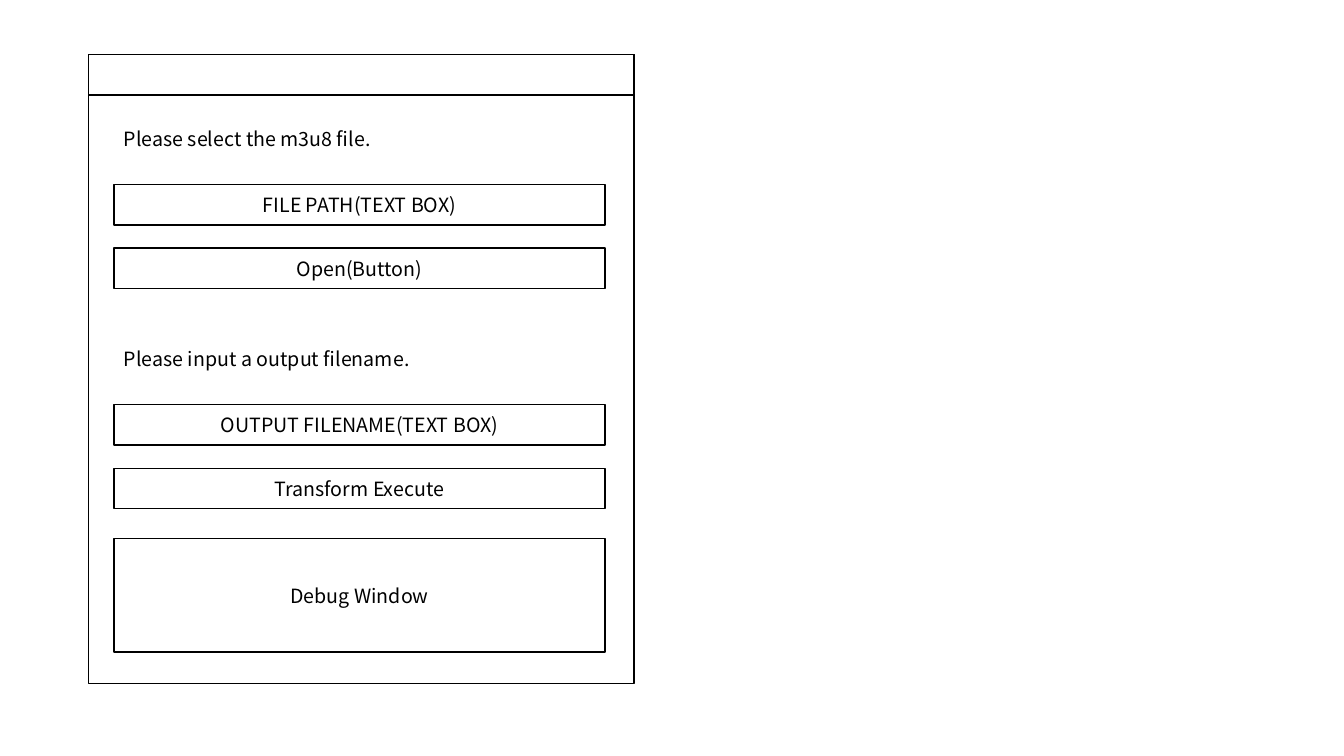
from dataclasses import dataclass

from pptx import Presentation
from pptx.dml.color import RGBColor
from pptx.enum.shapes import MSO_SHAPE
from pptx.enum.text import MSO_ANCHOR, PP_ALIGN
from pptx.util import Pt


@dataclass(frozen=True)
class Theme:
    ink: RGBColor = RGBColor(0, 0, 0)
    font: str = "Noto Sans CJK JP"
    body: float = 14
    stroke: float = 1


THEME = Theme()
ROW = 28.9           # height of the title bar, prompts, fields and buttons
FIELD_OFFSET = 47.5  # from the top of a prompt to its field
BUTTON_OFFSET = 93   # from the top of a prompt to its button


def write(part, text, align):
    frame = part.text_frame
    frame.word_wrap = True
    frame.vertical_anchor = MSO_ANCHOR.MIDDLE
    line = frame.paragraphs[0]
    line.text = text
    line.alignment = align
    line.font.name = THEME.font
    line.font.size = Pt(THEME.body)
    line.font.color.rgb = THEME.ink


def add_outline(shapes, left, top, width, height, text=""):
    outline = shapes.add_shape(MSO_SHAPE.RECTANGLE, Pt(left), Pt(top), Pt(width), Pt(height))
    outline.shadow.inherit = False
    outline.fill.background()
    outline.line.color.rgb = THEME.ink
    outline.line.width = Pt(THEME.stroke)
    if text:
        write(outline, text, PP_ALIGN.CENTER)


def add_window_frame(slide, left, top, width, height):
    """Window border with its title bar, grouped."""
    window = slide.shapes.add_group_shape()
    add_outline(window.shapes, left, top, width, height)
    add_outline(window.shapes, left, top, width, ROW)


def add_form_section(slide, left, top, width, prompt, field, button):
    """Prompt above a text field and a button."""
    prompt_box = slide.shapes.add_textbox(Pt(left), Pt(top), Pt(width), Pt(ROW))
    write(prompt_box, prompt, PP_ALIGN.LEFT)
    add_outline(slide.shapes, left, top + FIELD_OFFSET, width, ROW, field)
    add_outline(slide.shapes, left, top + BUTTON_OFFSET, width, ROW, button)


def add_app_window(slide, left, top, width, height):
    add_window_frame(slide, left, top, width, height)
    form_left, form_width = left + 18, 350.8

    # File selection and output sections
    sections = [
        ("Please select the m3u8 file.", "FILE PATH(TEXT BOX)", "Open(Button)"),
        ("Please input a output filename.", "OUTPUT FILENAME(TEXT BOX)", "Transform Execute"),
    ]
    for index, texts in enumerate(sections):
        add_form_section(slide, form_left, top + 45.4 + index * 157.2, form_width, *texts)

    # Debug output
    add_outline(slide.shapes, form_left, top + 345.6, form_width, 81.4, "Debug Window")


deck = Presentation()
deck.slide_width, deck.slide_height = Pt(960), Pt(540)
mockup = deck.slides.add_slide(deck.slide_layouts[6])
add_app_window(mockup, 63.4, 38.9, 389.5, 449.3)
deck.save("out.pptx")
